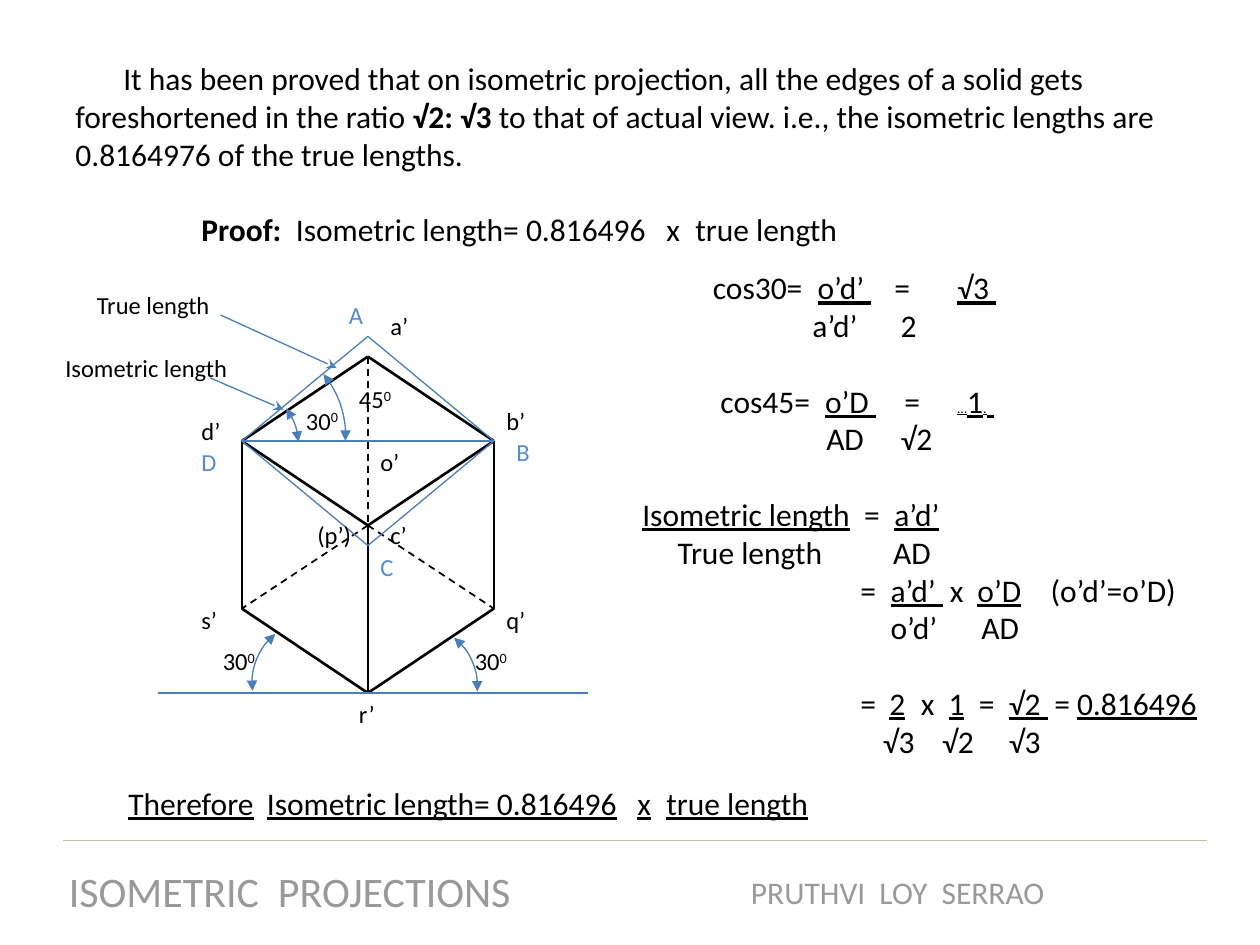
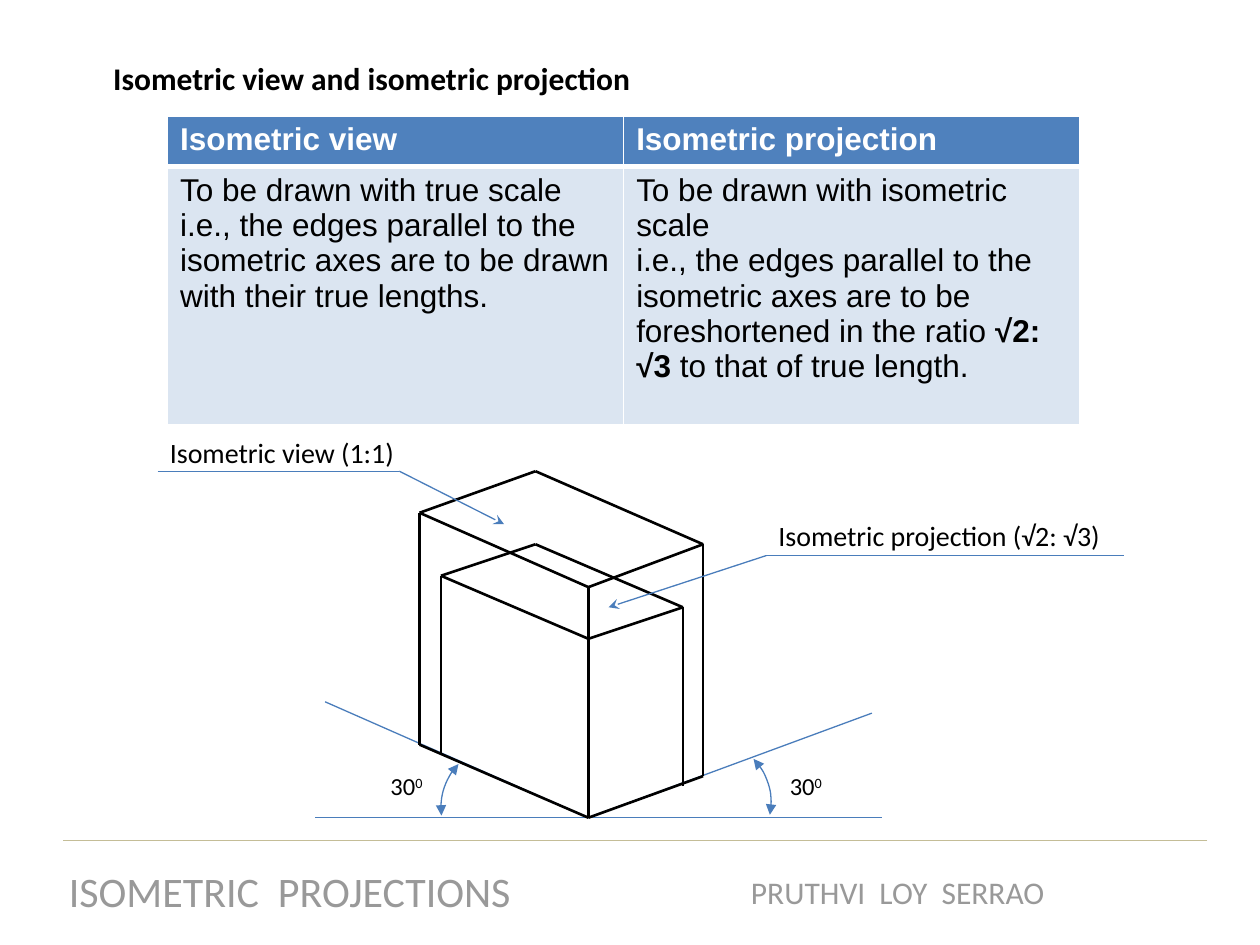
from dataclasses import dataclass
from typing import Iterator

from lxml.etree import SubElement
from pptx import Presentation
from pptx.dml.color import RGBColor
from pptx.enum.dml import MSO_LINE
from pptx.enum.shapes import MSO_CONNECTOR, MSO_SHAPE
from pptx.enum.text import PP_ALIGN
from pptx.oxml.ns import qn
from pptx.slide import Slide
from pptx.text.text import TextFrame
from pptx.util import Inches, Pt

INK = {
    "black": "000000", "white": "FFFFFF", "grey": "999999", "tan": "C4BD97",
    "line": "4A7DBB", "blue": "538CD5", "head": "4F81BD", "pale": "DBE5F1",
}
MARKS = {
    "*": {"bold": True},
    "_": {"underline": True},
    "~": {"size": Pt(8)},
    "^": {},
}
Point = tuple[float, float]


@dataclass
class Para:
    text: str
    stops: tuple[float, ...] = ()
    indent: float = 0
    gap: float = 0


@dataclass
class Text:
    box: tuple[float, float, float, float]
    paras: list[Para]
    size: float = 14
    ink: str = "black"
    wrap: bool = False
    align: PP_ALIGN = PP_ALIGN.LEFT


@dataclass
class Pen:
    ink: str = "line"
    width: float = 0.75
    dash: bool = False
    head: str = ""
    tail: str = ""


@dataclass
class Arc:
    box: tuple[float, float, float, float]
    turn: float
    start: float
    end: float


THIN = Pen()
EDGE = Pen("black", 1.5)
HIDDEN = Pen("black", 1, dash=True)
ARROW = Pen(tail="stealth")
SWEEP = Pen(head="triangle", tail="triangle")
RULE = Pen("tan")


def shade(name: str) -> RGBColor:
    return RGBColor.from_string(INK[name])


def split(text: str) -> Iterator[tuple[str, set[str]]]:
    live: set[str] = set()
    word = ""
    for char in text:
        if char in MARKS:
            if word:
                yield word, set(live)
            word = ""
            live ^= {char}
        else:
            word += char
    if word:
        yield word, live


def write(frame: TextFrame, paras: list[Para], look: dict, ink: str,
          align: PP_ALIGN = PP_ALIGN.LEFT) -> None:
    for num, item in enumerate(paras):
        para = frame.add_paragraph() if num else frame.paragraphs[0]
        para.alignment = align
        if item.gap:
            para.space_before = Pt(item.gap)
        props = para._p.get_or_add_pPr()
        if item.indent:
            props.set("marL", "0")
            props.set("indent", str(Inches(item.indent)))
        if item.stops:
            tabs = SubElement(props, qn("a:tabLst"))
            for stop in item.stops:
                SubElement(tabs, qn("a:tab"), pos=str(Inches(stop)), algn="l")
        for word, live in split(item.text):
            run = para.add_run()
            run.text = word
            style = dict(look)
            for mark in live:
                style.update(MARKS[mark])
            for key, value in style.items():
                setattr(run.font, key, value)
            run.font.color.rgb = shade(ink)
            if "^" in live:
                run._r.get_or_add_rPr().set("baseline", "30000")


def put(slide: Slide, item: Text) -> None:
    frame = slide.shapes.add_textbox(*map(Inches, item.box)).text_frame
    frame.word_wrap = item.wrap
    look = {"name": "Calibri", "size": Pt(item.size)}
    write(frame, item.paras, look, item.ink, item.align)


def label(slide: Slide, text: str, left: float, top: float, width: float = 0.35,
          size: float = 14, ink: str = "black") -> None:
    put(slide, Text((left, top, width, 0.34), [Para(text)], size, ink))


def stroke(line, pen: Pen) -> None:
    line.color.rgb = shade(pen.ink)
    line.width = Pt(pen.width)
    if pen.dash:
        line.dash_style = MSO_LINE.DASH
    for tag, kind in (("a:headEnd", pen.head), ("a:tailEnd", pen.tail)):
        if kind:
            SubElement(line._get_or_add_ln(), qn(tag), type=kind)


def draw(slide: Slide, start: Point, end: Point, pen: Pen = THIN) -> None:
    link = slide.shapes.add_connector(
        MSO_CONNECTOR.STRAIGHT, *map(Inches, start + end))
    stroke(link.line, pen)
    SubElement(link._element.spPr, qn("a:effectLst"))


def trace(slide: Slide, dots: dict[str, Point], pairs: str, pen: Pen) -> None:
    for start, end in pairs.split():
        draw(slide, dots[start], dots[end], pen)


def bend(slide: Slide, arc: Arc) -> None:
    shape = slide.shapes.add_shape(MSO_SHAPE.ARC, *map(Inches, arc.box))
    shape.shadow.inherit = False
    shape.fill.background()
    shape.rotation = arc.turn
    shape.adjustments[0] = arc.start
    shape.adjustments[1] = arc.end
    stroke(shape.line, SWEEP)


def base(deck) -> Slide:
    slide = deck.slides.add_slide(deck.slide_layouts[6])
    draw(slide, (9.58, 6.67), (0.5, 6.67), RULE)
    for text, box, size in (
        ("ISOMETRIC  PROJECTIONS", (0.43, 6.82, 3.74, 0.5), 24),
        ("PRUTHVI  LOY  SERRAO", (5.85, 6.88, 2.55, 0.4), 18),
    ):
        put(slide, Text(box, [Para(text)], size, "grey", align=PP_ALIGN.CENTER))
    return slide


def proof(deck) -> None:
    slide = base(deck)
    put(slide, Text((0.5, 0.42, 9.25, 1.62), [
        Para("It has been proved that on isometric projection, all the edges of a "
             "solid gets foreshortened in the ratio *√2: √3 *to that of actual view. "
             "i.e., the isometric lengths are 0.8164976 of the true lengths.",
             indent=0.38),
        Para("\t*Proof:*\tIsometric length= 0.816496\tx\ttrue length",
             (1, 1.75, 4.69, 4.92), gap=21.6),
    ], 18, wrap=True))

    dots = {
        "a": (2.92, 2.83), "b": (3.92, 3.5), "c": (2.92, 4.17), "d": (1.92, 3.5),
        "s": (1.92, 4.83), "q": (3.92, 4.83), "r": (2.92, 5.5),
        "A": (2.92, 2.67), "C": (2.92, 4.33), "x": (1.25, 5.5), "y": (4.67, 5.5),
    }
    trace(slide, dots, "ac cs cq", HIDDEN)
    trace(slide, dots, "ab bc cd da ds bq sr rq cr", EDGE)
    trace(slide, dots, "dA Ab bC Cd db xy", THIN)
    draw(slide, (1.67, 3), (2.25, 3.25), ARROW)
    draw(slide, (1.75, 2.5), (2.67, 2.92), ARROW)
    for arc in (
        Arc((2, 4.92, 1, 1), 270, 157.67, 192.65),
        Arc((2.79, 4.95, 1, 1), 39, 162, 195.23),
        Arc((1.37, 3.04, 1, 1), 50.5, 163.65, 183.4),
        Arc((1.33, 2.73, 1.45, 1.33), 53.2, 160.25, 189.28),
    ):
        bend(slide, arc)

    for text, left, top in (
        ("a’", 3, 2.42), ("b’", 3.92, 3.17), ("c’", 3, 4.08), ("d’", 1.5, 3.25),
        ("q’", 3.92, 4.75), ("s’", 1.5, 4.75), ("r’", 2.75, 5.5), ("o’", 2.92, 3.5),
    ):
        label(slide, text, left, top)
    for text, left, top in (
        ("A", 2.67, 2.33), ("B", 4, 3.42), ("C", 2.92, 4.33), ("D", 1.5, 3.5),
    ):
        label(slide, text, left, top, 0.32, ink="blue")
    for text, left, top in (
        ("30^0^", 1.67, 5.08), ("30^0^", 3.67, 5.08), ("30^0^", 2.33, 3.17),
        ("45^0^", 2.75, 3), ("(p’)", 2.42, 4.08),
    ):
        label(slide, text, left, top, 0.47)
    label(slide, "Isometric length", 0.42, 2.75, 1.5)
    label(slide, "True length", 0.67, 2.25, 1.11)

    put(slide, Text((5, 2.08, 4.67, 4.64), [
        Para("\tcos30=\t_o’d’ _\t=\t_√3 _", (0.56, 1.39, 1.81, 2)),
        Para("\ta’d’\t2", (1.35, 2.05)),
        Para("\tcos45=\t_o’D _\t=\t_~…~1~.~ _", (0.62, 1.45, 1.85, 2.08), gap=21.6),
        Para("\tAD\t√2", (1.46, 2.05)),
        Para("_Isometric length_\t=\t_a’d’_", (1.76, 2), gap=21.6),
        Para("\tTrue length\tAD", (0.28, 1.99)),
        Para("\t=\t_a’d’ _\tx\t_o’D_\t(o’d’=o’D)", (1.73, 1.97, 2.44, 2.66, 3.24)),
        Para("\to’d’\tAD", (1.97, 2.69)),
        Para("\t=\t_2_\tx\t_1_\t=\t_√2 _\t=\t_0.816496_",
             (1.73, 1.96, 2.21, 2.43, 2.67, 2.91, 3.27, 3.45), gap=21.6),
        Para("\t√3\t√2\t√3", (1.91, 2.38, 2.91)),
    ], 18, wrap=True))
    put(slide, Text((0.92, 6.17, 5.63, 0.4), [
        Para("_Therefore\tIsometric length= 0.816496\tx\ttrue length_",
             (1.1, 4.04, 4.27)),
    ], 18, wrap=True))


def edge(cell, widths: dict[str, float]) -> None:
    props = cell._tc.get_or_add_tcPr()
    for side, width in widths.items():
        line = SubElement(props, qn(f"a:ln{side}"), w=str(Pt(width)))
        fill = SubElement(line, qn("a:solidFill"))
        SubElement(fill, qn("a:srgbClr"), val=INK["white"])


def grid(slide: Slide) -> None:
    rows = [
        ("head", "white", [[Para("*Isometric view*")],
                           [Para("*Isometric projection*")]]),
        ("pale", "black", [
            [Para("To be drawn with true scale"),
             Para("i.e., the edges parallel to the isometric axes are to be drawn "
                  "with their true lengths.")],
            [Para("To be drawn with isometric scale"),
             Para("i.e., the edges parallel to the isometric axes are to be "
                  "foreshortened in the ratio *√2: √3 *to that of true length.")],
        ]),
    ]
    box = map(Inches, (1.33, 0.92, 7.24, 2.43))
    table = slide.shapes.add_table(2, 2, *box).table
    look = {"name": "Arial", "size": Pt(18)}
    for row, (fill, ink, cells) in enumerate(rows):
        table.rows[row].height = Inches((0.38, 2.05)[row])
        for col, paras in enumerate(cells):
            cell = table.cell(row, col)
            edge(cell, {"L": 1, "R": 1, "T": 1 if row == 0 else 3,
                        "B": 3 if row == 0 else 1})
            cell.fill.solid()
            cell.fill.fore_color.rgb = shade(fill)
            write(cell.text_frame, paras, look, ink)


def views(deck) -> None:
    slide = base(deck)
    put(slide, Text((0.42, 0.42, 9.25, 0.4), [
        Para("*Isometric view and isometric projection*", indent=0.38),
    ], 18, wrap=True))
    grid(slide)

    dots = {
        "t": (4.25, 3.74), "l": (3.33, 4.07), "f": (4.67, 4.66), "r": (5.58, 4.32),
        "m": (3.33, 5.91), "n": (4.67, 6.49), "k": (5.58, 6.16),
        "T": (4.25, 4.32), "L": (3.5, 4.57), "F": (4.67, 5.07), "R": (5.42, 4.82),
        "M": (3.5, 5.99), "K": (5.42, 6.24),
        "x": (2.5, 6.49), "y": (7, 6.49), "u": (2.58, 5.57), "v": (6.92, 5.66),
        "g": (1.25, 3.74), "h": (3.17, 3.74), "i": (4, 4.16),
        "p": (8.92, 4.41), "q": (6.08, 4.41), "s": (4.83, 4.82),
    }
    trace(slide, dots, "nu nv xy gh qp", THIN)
    trace(slide, dots, "tl lf fr tr lm mn nk kr nf TL LF FR TR ML KR", EDGE)
    trace(slide, dots, "hi qs", ARROW)
    bend(slide, Arc((5.12, 5.87, 1, 1), 39, 166.31, 199.34))
    bend(slide, Arc((3.5, 5.91, 1, 1), 270, 157.67, 188.29))
    label(slide, "Isometric projection (√2: √3)", 6.08, 4.07, 2.79, 16)
    label(slide, "Isometric view (1:1)", 1.25, 3.41, 2.01, 16)
    for left in (3, 6.17):
        label(slide, "30^0^", left, 6.07, 0.47)


def main() -> None:
    deck = Presentation()
    deck.slide_width = Inches(10)
    deck.slide_height = Inches(7.5)
    proof(deck)
    views(deck)
    deck.save("out.pptx")


if __name__ == "__main__":
    main()
